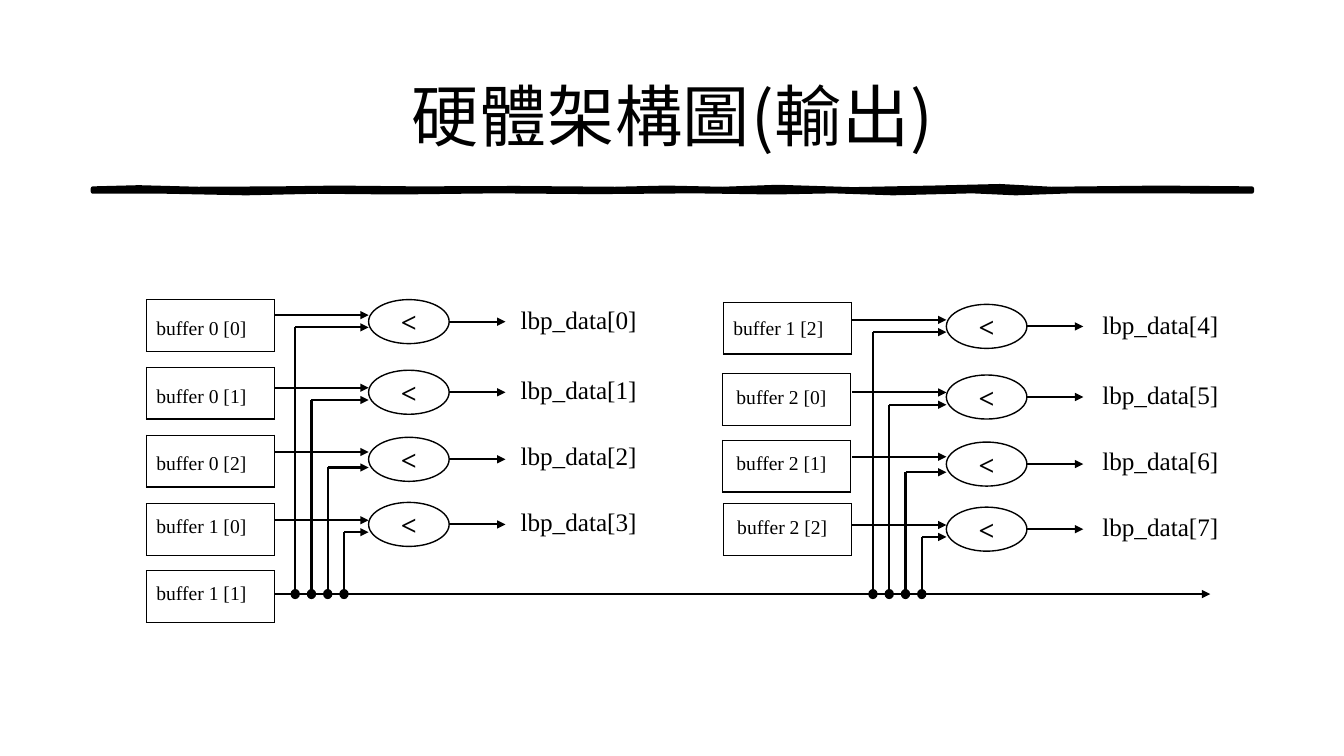
from lxml import etree
from pptx import Presentation
from pptx.dml.color import RGBColor
from pptx.enum.shapes import MSO_CONNECTOR, MSO_SHAPE
from pptx.enum.text import MSO_ANCHOR, PP_ALIGN
from pptx.oxml.ns import qn
from pptx.util import Cm, Pt

STRAIGHT = MSO_CONNECTOR.STRAIGHT
OVAL = MSO_SHAPE.OVAL
MIDDLE, TOP = MSO_ANCHOR.MIDDLE, MSO_ANCHOR.TOP
CENTER, LEFT = PP_ALIGN.CENTER, PP_ALIGN.LEFT

BLACK, WHITE = "000000", "FFFFFF"
LATIN, CJK = "Times New Roman", "Noto Sans CJK SC"

# Lengths in centimetres
BUS_Y, BUS_END = 14.97, 30.50
BOX_WIDTH, BOX_HEIGHT = 3.23, 1.30
BOX_RIGHT = 6.91
OVAL_LEFT, OVAL_WIDTH, OVAL_HEIGHT = 9.29, 2.03, 1.11
OUTPUT_LENGTH = 1.42
LABEL_LEFTS = (12.87, 27.53)
TAP_LEFT, TAP_STEP = 7.44, 0.41
GROUP_SHIFT_X, GROUP_SHIFT_Y = 14.56, 0.12

# Per comparator: oval top, data input, reference input, label top
COMPARATORS = [
    (7.55, 7.94, 8.25, 7.54),
    (9.33, 9.77, 10.08, 9.32),
    (11.02, 11.39, 11.78, 10.98),
    (12.66, 13.11, 13.41, 12.64),
]

# Name, left, top, offset of the name from the box
BUFFERS = [
    ("buffer 0 [0]", 3.69, 7.55, 0, 0.28),
    ("buffer 0 [1]", 3.69, 9.26, 0, 0.28),
    ("buffer 0 [2]", 3.69, 10.97, 0, 0.28),
    ("buffer 1 [0]", 3.69, 12.69, 0, 0.13),
    ("buffer 1 [1]", 3.69, 14.38, 0, 0.13),
    ("buffer 1 [2]", 18.23, 7.62, 0, 0.21),
    ("buffer 2 [0]", 18.21, 9.42, 0.1, 0.15),
    ("buffer 2 [1]", 18.21, 11.10, 0.1, 0.15),
    ("buffer 2 [2]", 18.23, 12.69, 0.1, 0.16),
]

# Upper and lower edge of the brush stroke
STROKE_TOP = [
    (2.34, 4.75), (3.5, 4.72), (5.0, 4.76), (7.0, 4.75), (8.5, 4.73),
    (10.5, 4.75), (13, 4.74), (15.5, 4.76), (16.8, 4.73), (18.2, 4.76),
    (19.6, 4.71), (21.5, 4.77), (23.5, 4.73), (25.2, 4.69), (26.5, 4.76),
    (29.2, 4.73), (31.55, 4.75),
]
STROKE_BOTTOM = [
    (31.55, 4.83), (29, 4.82), (27, 4.82), (25.6, 4.87), (24.5, 4.82),
    (22.5, 4.87), (21, 4.82), (19.5, 4.85), (17.5, 4.82), (15, 4.84),
    (12.5, 4.82), (10, 4.85), (8, 4.83), (6.2, 4.87), (4.2, 4.83),
    (2.34, 4.83),
]


def colour(value):
    return RGBColor.from_string(value)


def apply(target, values):
    for name, value in values.items():
        setattr(target, name, value)


def write(frame, text, size, font=LATIN, bold=False, align=LEFT, spacing=None):
    para = frame.paragraphs[0]
    para.alignment = align
    span = para.add_run()
    span.text = text
    apply(span.font, {"size": Pt(size), "name": font, "bold": bold})
    span.font.color.rgb = colour(BLACK)
    properties = span.font._element
    if font == CJK:
        etree.SubElement(properties, qn("a:ea"), typeface=font)
    if spacing:
        properties.set("spc", str(spacing))


def add_text(page, left, top, width, height, text, size, anchor=TOP, **style):
    box = page.shapes.add_textbox(Cm(left), Cm(top), Cm(width), Cm(height))
    apply(box.text_frame, {"word_wrap": True, "vertical_anchor": anchor})
    write(box.text_frame, text, size, **style)


def paint(shape, fill, line_width):
    shape.shadow.inherit = False
    shape.fill.solid()
    shape.fill.fore_color.rgb = colour(fill)
    shape.line.color.rgb = colour(BLACK)
    shape.line.width = Pt(line_width)


def add_oval(page, left, top, width, height, fill):
    oval = page.shapes.add_shape(OVAL, Cm(left), Cm(top), Cm(width), Cm(height))
    paint(oval, fill, 1)
    return oval


def add_wire(page, x1, y1, x2, y2, arrow=True):
    wire = page.shapes.add_connector(STRAIGHT, Cm(x1), Cm(y1), Cm(x2), Cm(y2))
    wire.line.color.rgb = colour(BLACK)
    wire.line.width = Pt(1.5)
    if arrow:
        etree.SubElement(wire.line._get_or_add_ln(), qn("a:tailEnd"), type="triangle")
    etree.SubElement(wire._element.spPr, qn("a:effectLst"))


def add_buffer(page, name, left, top, name_x, name_y):
    frame = page.shapes.add_table(
        1, 1, Cm(left), Cm(top), Cm(BOX_WIDTH), Cm(BOX_HEIGHT))
    apply(frame.table, {"first_row": False, "horz_banding": False})
    cell = frame.table.cell(0, 0)
    cell.fill.background()
    # Borders come before the fill in the cell properties
    properties = cell._tc.get_or_add_tcPr()
    for index, side in enumerate(("lnL", "lnR", "lnT", "lnB")):
        border = etree.Element(qn(f"a:{side}"), w=str(Pt(1)))
        fill = etree.SubElement(border, qn("a:solidFill"))
        etree.SubElement(fill, qn("a:srgbClr"), val=BLACK)
        properties.insert(index, border)
    add_text(page, left + name_x, top + name_y, 3.76, 0.86, name, 14)


def add_stroke(page):
    points = [(Cm(x), Cm(y)) for x, y in STROKE_TOP + STROKE_BOTTOM]
    builder = page.shapes.build_freeform(*points[0])
    builder.add_line_segments(points[1:], close=True)
    paint(builder.convert_to_shape(), BLACK, 3)


def add_comparator(page, group, row):
    shift_x, shift_y = group * GROUP_SHIFT_X, group * GROUP_SHIFT_Y
    top, data_y, reference_y, label_top = (y + shift_y for y in COMPARATORS[row])
    left = OVAL_LEFT + shift_x
    right = left + OVAL_WIDTH
    middle = top + OVAL_HEIGHT / 2
    tap = TAP_LEFT + row * TAP_STEP + shift_x

    # Inputs: the buffer, and the reference tapped from the bus
    add_wire(page, BOX_RIGHT + shift_x, data_y, left, data_y)
    add_wire(page, tap, BUS_Y, tap, reference_y, arrow=False)
    add_wire(page, tap, reference_y, left, reference_y)
    add_oval(page, tap - 0.1, BUS_Y - 0.11, 0.2, 0.22, BLACK)

    # Comparison and output
    oval = add_oval(page, left, top, OVAL_WIDTH, OVAL_HEIGHT, WHITE)
    oval.text_frame.vertical_anchor = MIDDLE
    write(oval.text_frame, "<", 20, bold=True, align=CENTER)
    add_wire(page, right, middle, right + OUTPUT_LENGTH, middle)
    number = group * len(COMPARATORS) + row
    add_text(page, LABEL_LEFTS[group], label_top, 4.47, 1.02,
             f"lbp_data[{number}]", 18)


def main():
    deck = Presentation()
    apply(deck, {"slide_width": Cm(33.87), "slide_height": Cm(19.05)})
    page = deck.slides.add_slide(deck.slide_layouts[6])

    # Heading
    add_stroke(page)
    add_text(page, 2.34, 1.04, 29.21, 3.68, "硬體架構圖(輸出)", 48,
             anchor=MIDDLE, font=CJK, align=CENTER, spacing=50)

    # Buffers and the bus
    for buffer in BUFFERS:
        add_buffer(page, *buffer)
    add_wire(page, BOX_RIGHT, BUS_Y, BUS_END, BUS_Y)

    # Two groups of comparators
    for group in range(2):
        for row in range(len(COMPARATORS)):
            add_comparator(page, group, row)

    deck.save("out.pptx")


if __name__ == "__main__":
    main()
